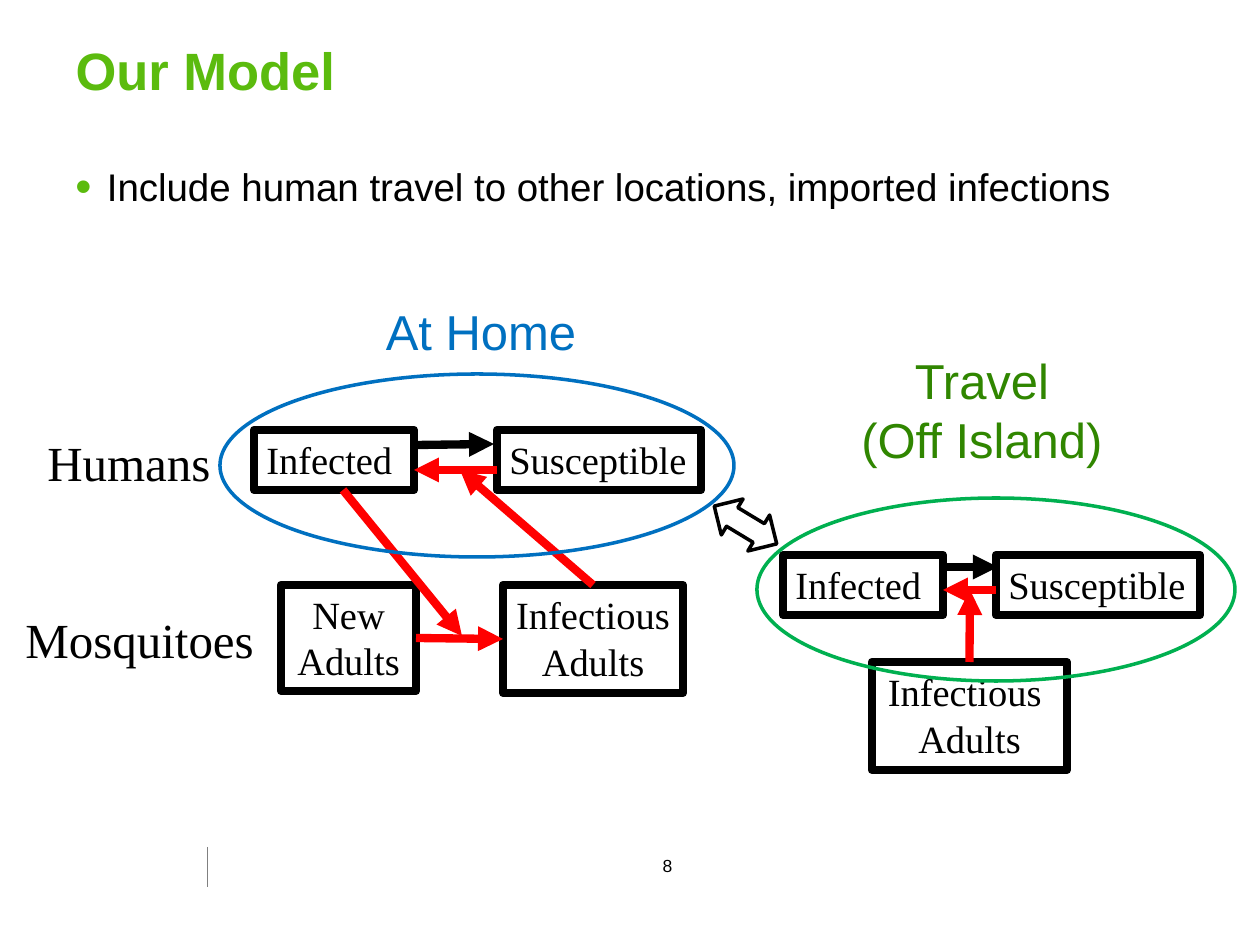
from lxml import etree
from pptx import Presentation
from pptx.dml.color import RGBColor
from pptx.enum.shapes import MSO_CONNECTOR, MSO_SHAPE
from pptx.enum.text import MSO_ANCHOR, PP_ALIGN
from pptx.oxml.ns import qn
from pptx.util import Pt

STRAIGHT = MSO_CONNECTOR.STRAIGHT
RECTANGLE, OVAL = MSO_SHAPE.RECTANGLE, MSO_SHAPE.OVAL
TWO_WAY_ARROW = MSO_SHAPE.LEFT_RIGHT_ARROW
TOP, MIDDLE = MSO_ANCHOR.TOP, MSO_ANCHOR.MIDDLE
LEFT, CENTER = PP_ALIGN.LEFT, PP_ALIGN.CENTER
TOP_SIDE, LEFT_SIDE, RIGHT_SIDE = 0, 1, 3

LIME = RGBColor(0x5B, 0xBB, 0x0E)
BLACK = RGBColor(0, 0, 0)
WHITE = RGBColor(255, 255, 255)
RED = RGBColor(255, 0, 0)
GRAY = RGBColor(0x80, 0x80, 0x80)
BLUE = RGBColor(0, 0x70, 0xC0)
GREEN = RGBColor(0, 0xB0, 0x50)
DARK_GREEN = RGBColor(0x30, 0x86, 0)

SANS, SERIF = "Arial", "Times New Roman"
PX = 914400 / 126
HEAVY, MEDIUM, HAIRLINE = 4.75, 2, 0.25

# Content: places are left, top, width, height in px
TITLE = ("Our Model", (63, 31, 1129, 77))
BULLET = ("Include human travel to other locations, imported infections",
          (63, 157, 1173, 129))
PAGE_NUMBER = ("8", (644, 849, 47, 34))
ROW_LABELS = [("Humans", (35, 426, 266, 72)),
              ("Mosquitoes", (13, 603, 359, 72))]
PLACE_LABELS = [("At Home", (372, 295, 218, 72), BLUE),
                ("Travel\n(Off Island)", (847, 344, 270, 134), DARK_GREEN)]
STATES = {
    "new adults": ("New Adults", (281, 585, 135, 106), CENTER),
    "home adults": ("Infectious\nAdults", (503, 585, 180, 108), CENTER),
    "home infected": ("Infected", (254, 430, 160, 60), LEFT),
    "home susceptible": ("Susceptible", (497, 430, 204, 60), LEFT),
    "travel adults": ("Infectious \nAdults", (872, 662, 195, 108), CENTER),
    "travel infected": ("Infected", (783, 555, 160, 60), LEFT),
    "travel susceptible": ("Susceptible", (996, 555, 204, 60), LEFT),
}
# Flows: each end is a point, or a state and its side
INFECTION_FLOWS = [
    (("new adults", RIGHT_SIDE), ("home adults", LEFT_SIDE)),
    ((343, 490), (462, 636)),
    ((497, 470), (414, 470)),
    (("home adults", TOP_SIDE), (460, 470)),
    (("travel adults", TOP_SIDE), (970, 590)),
    ((996, 590), (943, 590)),
]
RECOVERY_FLOWS = [((418, 445), (494, 444)), ((943, 567), (998, 567))]
REGIONS = [((220, 374, 514, 183), BLUE), ((757, 498, 478, 183), GREEN)]
EXCHANGE_ARROW = (709, 504, 73, 42)
FOOTER_RULE = ((207, 847), (207, 887))


def emu(*lengths):
    return [round(length * PX) for length in lengths]


def write_text(shape, text, size, font=SANS, color=BLACK, bold=False,
               align=LEFT, anchor=TOP, wrap=True, bullet=False):
    frame = shape.text_frame
    frame.word_wrap, frame.vertical_anchor = wrap, anchor
    frame.text = text
    for index, paragraph in enumerate(frame.paragraphs):
        if bullet:
            add_bullet(paragraph)
        paragraph.alignment = align
        if index:
            paragraph.space_before = Pt(0.5)
        paragraph.font.size, paragraph.font.name = Pt(size), font
        paragraph.font.bold = bold
        paragraph.font.color.rgb = color


def add_bullet(paragraph):
    properties = paragraph._p.get_or_add_pPr()
    indent, = emu(31.5)
    properties.set("marL", str(indent))
    properties.set("indent", str(-indent))
    bullet_color = etree.SubElement(properties, qn("a:buClr"))
    etree.SubElement(bullet_color, qn("a:srgbClr"), val=str(LIME))
    etree.SubElement(properties, qn("a:buSzPct"), val="120000")
    etree.SubElement(properties, qn("a:buFont"), typeface=SANS)
    etree.SubElement(properties, qn("a:buChar"), char="•")


def add_label(slide, text, place, size, **style):
    write_text(slide.shapes.add_textbox(*emu(*place)), text, size, **style)


def add_outline(slide, preset, place, color, width, fill=None):
    shape = slide.shapes.add_shape(preset, *emu(*place))
    shape.shadow.inherit = False
    if fill is None:
        shape.fill.background()
    else:
        shape.fill.solid()
        shape.fill.fore_color.rgb = fill
    shape.line.color.rgb, shape.line.width = color, Pt(width)
    return shape


def add_line(slide, start, end, color, width, boxes=None, arrow=True):
    points = [(0, 0) if isinstance(p[0], str) else p for p in (start, end)]
    line = slide.shapes.add_connector(STRAIGHT, *emu(*points[0], *points[1]))
    for target, join in ((start, line.begin_connect), (end, line.end_connect)):
        if isinstance(target[0], str):
            join(boxes[target[0]], target[1])
    line.line.color.rgb, line.line.width = color, Pt(width)
    if arrow:
        etree.SubElement(line.line._get_or_add_ln(), qn("a:tailEnd"),
                         type="triangle")
    etree.SubElement(line._element.spPr, qn("a:effectLst"))


def main():
    deck = Presentation()
    deck.slide_width, deck.slide_height = emu(1260, 945)
    slide = deck.slides.add_slide(deck.slide_layouts[5])

    # Title, bullet and footer
    text, place = TITLE
    title = slide.shapes.title
    title.left, title.top, title.width, title.height = emu(*place)
    write_text(title, text, 30, color=LIME, bold=True, anchor=MIDDLE)
    add_label(slide, *BULLET, 22, bullet=True)
    add_line(slide, *FOOTER_RULE, GRAY, HAIRLINE, arrow=False)
    add_label(slide, *PAGE_NUMBER, 10, align=CENTER, wrap=False)

    # Row labels and state boxes
    for text, place in ROW_LABELS:
        add_label(slide, text, place, 28, font=SERIF)
    boxes = {}
    for state, (text, place, align) in STATES.items():
        boxes[state] = add_outline(slide, RECTANGLE, place, BLACK, HEAVY)
        write_text(boxes[state], text, 22, font=SERIF, align=align)

    # Infection flows, with the regions drawn over them
    for start, end in INFECTION_FLOWS:
        add_line(slide, start, end, RED, HEAVY, boxes)
    for place, color in REGIONS:
        add_outline(slide, OVAL, place, color, MEDIUM)
    for text, place, color in PLACE_LABELS:
        add_label(slide, text, place, 28, color=color, align=CENTER, wrap=False)

    # Exchange between regions, and recovery flows
    exchange = add_outline(slide, TWO_WAY_ARROW, EXCHANGE_ARROW, BLACK, MEDIUM,
                           fill=WHITE)
    exchange.rotation = 31.2
    exchange.adjustments[0], exchange.adjustments[1] = 0.52, 0.5
    for start, end in RECOVERY_FLOWS:
        add_line(slide, start, end, BLACK, HEAVY)

    deck.save("out.pptx")


if __name__ == "__main__":
    main()
